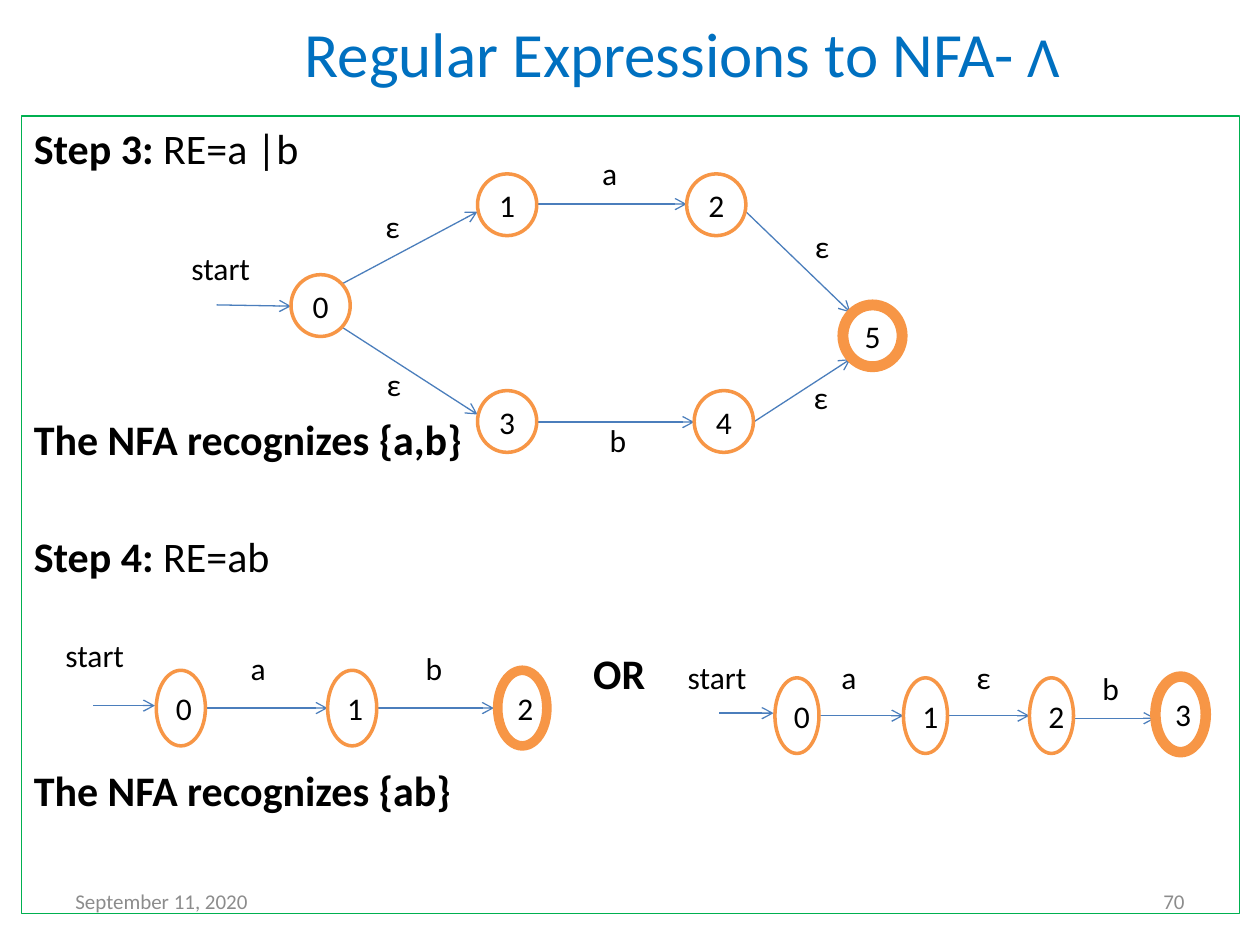
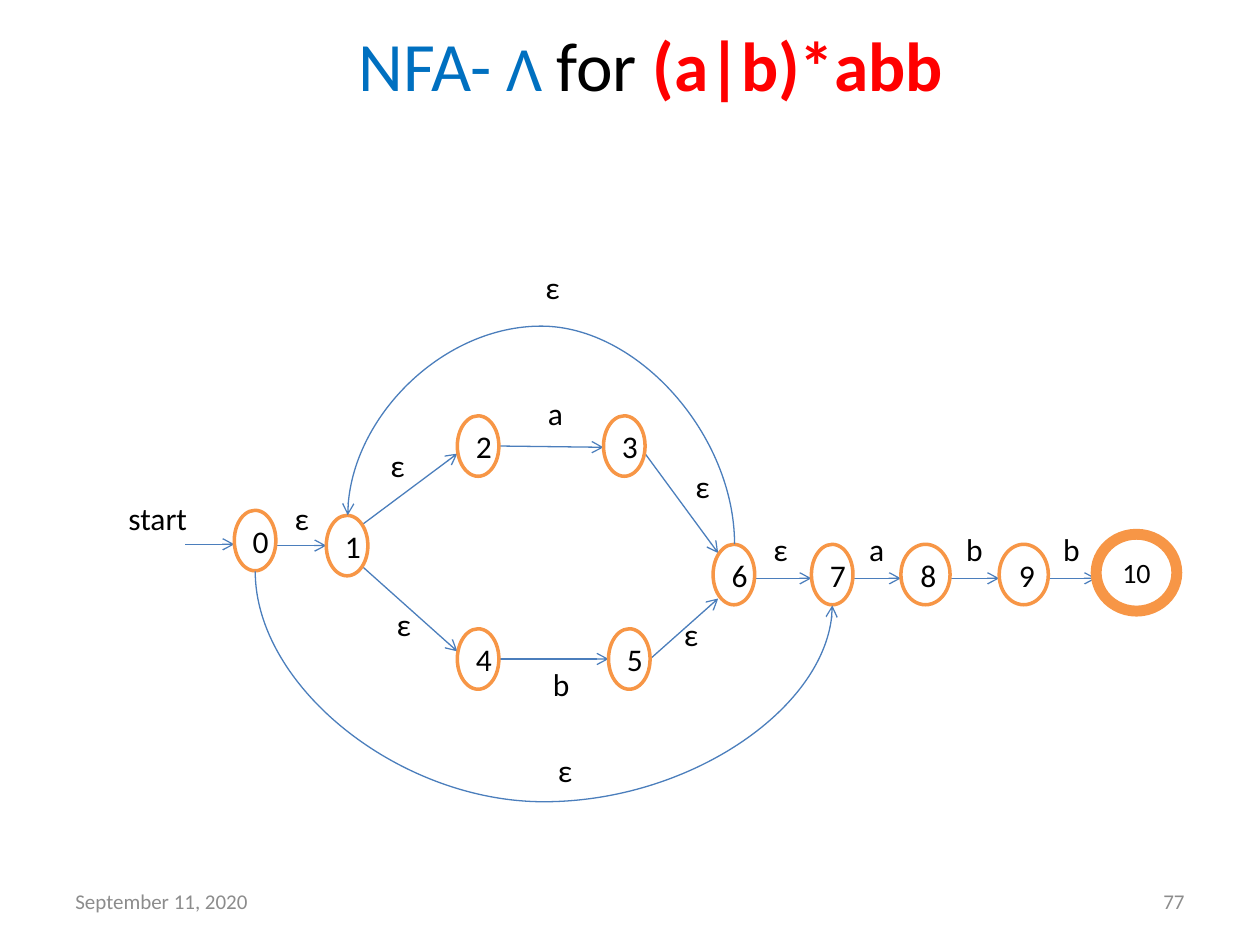
from lxml import etree
from pptx import Presentation
from pptx import util as u
from pptx.dml.color import RGBColor
from pptx.enum import shapes, text
from pptx.oxml import ns

BLUE = RGBColor(0x00, 0x70, 0xC0)
GREEN = RGBColor(0x00, 0xB0, 0x50)
ORANGE = RGBColor(0xF7, 0x96, 0x46)
ARROW_BLUE = RGBColor(0x4B, 0x7E, 0xBC)
GREY = RGBColor(0x8C, 0x8C, 0x8C)
RED = RGBColor(0xFF, 0x00, 0x00)
BLACK = RGBColor(0x00, 0x00, 0x00)
WHITE = RGBColor(0xFF, 0xFF, 0xFF)

LEFT, CENTER, RIGHT = text.PP_ALIGN.LEFT, text.PP_ALIGN.CENTER, text.PP_ALIGN.RIGHT
TOP, MIDDLE = text.MSO_ANCHOR.TOP, text.MSO_ANCHOR.MIDDLE
THIN = 2

# States: label, left, top, width, height, outline in points
# Arrows: from x, from y, to x, to y; labels: text, left, top
# Loops: box (left, top, width, height), flips, height factor of the curve
ab_states = [(str(i), x, 5.32, 0.39, 0.6, outline)
             for i, (x, outline) in enumerate([(1.24, THIN), (2.6, THIN), (3.95, 5.5)])]
a_epsilon_b_states = [(str(i), x, 5.38, 0.35, 0.6, THIN) for i, x in enumerate([6.15, 7.17, 8.17])]
union_states = [(label, x, y, 0.47, 0.49, THIN) for label, x, y in [
    ("0", 2.31, 2.18), ("1", 3.79, 1.38), ("2", 5.45, 1.38), ("3", 3.79, 3.1), ("4", 5.51, 3.1)]]
abb_states = [(label, x, y, 0.33, 0.48, THIN) for label, x, y in [
    ("0", 1.86, 4.05), ("1", 2.59, 4.09), ("2", 3.63, 3.3), ("3", 4.79, 3.3),
    ("4", 3.63, 4.99), ("5", 4.83, 4.99), ("6", 5.66, 4.32), ("7", 6.44, 4.32)]]

pages = [
    dict(
        number="70",
        title_box=(0.83, 0.08, 9.17, 0.67),
        title=[("Regular Expressions to NFA-", dict(size=36, color=BLUE)),
               (" Ʌ", dict(size=32.4, color=BLUE))],
        # Space before, left margin, runs
        body=[(0, 0, [("Step 3: ", dict(bold=True)), ("RE=a |b", {})]),
              (138, 0, [("The NFA recognizes {a,b}", dict(bold=True))]),
              (38, 0, [("Step 4: ", dict(bold=True)), ("RE=ab", {})]),
              (38, 4.44, [("OR", dict(bold=True))]),
              (38, 0, [("The NFA recognizes {ab}", dict(bold=True))])],
        states=union_states + ab_states + a_epsilon_b_states + [
            ("5", 6.69, 2.42, 0.47, 0.49, 6.25), ("3", 9.17, 5.37, 0.4, 0.6, 6)],
        arrows=[(1.72, 2.42, 2.31, 2.43), (2.72, 2.25, 3.79, 1.68), (2.72, 2.6, 3.79, 3.29),
                (4.27, 1.62, 5.45, 1.62), (4.27, 3.35, 5.51, 3.35), (5.92, 1.68, 6.75, 2.48),
                (5.98, 3.35, 6.75, 2.85),
                (0.74, 5.6, 1.23, 5.6), (1.63, 5.62, 2.6, 5.62), (2.95, 5.62, 3.92, 5.62),
                (5.71, 5.66, 6.14, 5.66), (6.5, 5.68, 7.17, 5.68), (7.51, 5.68, 8.17, 5.68),
                (8.5, 5.7, 9.17, 5.7)],
        labels=[("start", 1.42, 1.93), ("ε", 2.96, 1.59), ("ε", 2.97, 2.85), ("ε", 6.36, 2.95),
                ("ε", 6.37, 1.75), ("b", 4.74, 3.29), ("a", 4.68, 1.17),
                ("start", 0.42, 5), ("a", 1.89, 5.1), ("b", 3.28, 5.1),
                ("start", 5.36, 5.17), ("a", 6.58, 5.17), ("ε", 7.65, 5.17), ("b", 8.65, 5.26)],
        loops=[],
    ),
    dict(
        number="77",
        title_box=(1.25, 0.17, 7.83, 0.67),
        title=[("NFA-", dict(size=39.6, color=BLUE)), (" Ʌ ", dict(size=36, color=BLUE)),
               ("for ", dict(size=39.6)), ("(a|b)*abb", dict(size=39.6, color=RED, bold=True))],
        body=[],
        states=abb_states + [("8", 7.15, 4.32, 0.39, 0.48, THIN), ("9", 7.93, 4.32, 0.39, 0.48, THIN),
                             ("10", 8.7, 4.24, 0.64, 0.61, 6.25)],
        arrows=[(1.47, 4.32, 1.86, 4.32), (2.18, 4.33, 2.59, 4.33), (2.88, 4.16, 3.63, 3.6),
                (2.88, 4.5, 3.63, 5.17), (3.96, 3.54, 4.79, 3.55), (3.96, 5.23, 4.83, 5.23),
                (5.12, 3.6, 5.7, 4.39), (5.16, 5.23, 5.7, 4.75), (5.99, 4.59, 6.44, 4.59),
                (6.77, 4.59, 7.15, 4.59), (7.54, 4.59, 7.93, 4.59), (8.31, 4.59, 8.7, 4.59)],
        labels=[("start", 0.92, 3.91), ("ε", 2.24, 3.91), ("ε", 3, 3.49), ("ε", 3.05, 4.75),
                ("ε", 5.33, 4.83), ("ε", 5.42, 3.66), ("b", 4.29, 5.23), ("a", 4.25, 3.08),
                ("ε", 6.04, 4.16), ("a", 6.8, 4.16), ("b", 7.57, 4.16), ("b", 8.34, 4.16),
                ("ε", 4.33, 5.91), ("ε", 4.23, 2.08)],
        loops=[((4.18, 2.38, 0.27, 4.58), "h", 6.77), ((4.18, 2.67, 0.23, 3.07), "v", 7.53)],
    ),
]


def write_runs(paragraph, runs, size):
    """Add (text, format) runs; a format overrides the size and black Calibri."""
    for words, changes in runs:
        run = paragraph.add_run()
        run.text = words
        values = dict(name="Calibri", size=size, color=BLACK, bold=False) | changes
        run.font.color.rgb = values.pop("color")
        values["size"] = u.Pt(values["size"])
        for attribute, value in values.items():
            setattr(run.font, attribute, value)


def add_arrow(slide, kind, ends):
    """Return a thin arrow whose four end coordinates are in inches."""
    arrow = slide.shapes.add_connector(kind, *map(u.Inches, ends))
    arrow.line.color.rgb = ARROW_BLUE
    arrow.line.width = u.Pt(0.75)
    etree.SubElement(arrow.line._get_or_add_ln(), ns.qn("a:tailEnd"), type="arrow")
    etree.SubElement(arrow._element.spPr, ns.qn("a:effectLst"))
    return arrow


presentation = Presentation()
presentation.slide_width = u.Inches(10)
presentation.slide_height = u.Inches(7.5)

for page in pages:
    slide = presentation.slides.add_slide(presentation.slide_layouts[6])

    if page["body"]:
        panel = slide.shapes.add_shape(shapes.MSO_SHAPE.RECTANGLE,
                                       *map(u.Inches, (0.17, 0.92, 9.67, 6.33)))
        panel.shadow.inherit = False
        panel.fill.background()
        panel.line.color.rgb = GREEN
        panel.line.width = u.Pt(0.75)
        panel.text_frame.vertical_anchor = TOP
        for i, (space, margin, runs) in enumerate(page["body"]):
            paragraph = panel.text_frame.add_paragraph() if i else panel.text_frame.paragraphs[0]
            paragraph._p.get_or_add_pPr().set("marL", str(u.Inches(margin)))
            paragraph.alignment = LEFT
            paragraph.space_before = u.Pt(space)
            write_runs(paragraph, runs, 24)

    for ends in page["arrows"]:
        add_arrow(slide, shapes.MSO_CONNECTOR.STRAIGHT, ends)

    for label, *box, outline in page["states"]:
        state = slide.shapes.add_shape(shapes.MSO_SHAPE.OVAL, *map(u.Inches, box))
        state.shadow.inherit = False
        state.fill.solid()
        state.fill.fore_color.rgb = WHITE
        state.line.color.rgb = ORANGE
        state.line.width = u.Pt(outline)
        state.text_frame.vertical_anchor = MIDDLE
        paragraph = state.text_frame.paragraphs[0]
        paragraph.alignment = CENTER
        write_runs(paragraph, [(label, {})], 16 if len(label) > 1 else 18)

    for (left, top, width, height), flips, factor in page["loops"]:
        x_ends, y_ends = [left, left + width], [top, top + height]
        if "h" in flips:
            x_ends.reverse()
        if "v" in flips:
            y_ends.reverse()
        loop = add_arrow(slide, shapes.MSO_CONNECTOR.CURVE,
                         (x_ends[0], y_ends[0], x_ends[1], y_ends[1]))
        properties = loop._element.spPr
        properties.find(ns.qn("a:xfrm")).set("rot", str(270 * 60000))
        geometry = properties.find(ns.qn("a:prstGeom"))
        guides = geometry.find(ns.qn("a:avLst"))
        if guides is None:
            guides = etree.SubElement(geometry, ns.qn("a:avLst"))
        etree.SubElement(guides, ns.qn("a:gd"), name="adj1", fmla=f"val {round(factor * 100000)}")

    footer = dict(size=12, color=GREY)
    text_boxes = [
        (page["title_box"], CENTER, MIDDLE, page["title"]),
        ((0.5, 6.95, 2.33, 0.4), LEFT, MIDDLE, [("September 11, 2020", footer)]),
        ((7.17, 6.95, 2.33, 0.4), RIGHT, MIDDLE, [(page["number"], footer)]),
    ]
    for label, left, top in page["labels"]:
        width = 0.9 if label == "start" else 0.4
        text_boxes.append(((left, top, width, 0.37), LEFT, TOP, [(label, {})]))
    for box, alignment, anchor, runs in text_boxes:
        frame = slide.shapes.add_textbox(*map(u.Inches, box)).text_frame
        frame.word_wrap = True
        frame.vertical_anchor = anchor
        frame.paragraphs[0].alignment = alignment
        write_runs(frame.paragraphs[0], runs, 18)

presentation.save("out.pptx")
